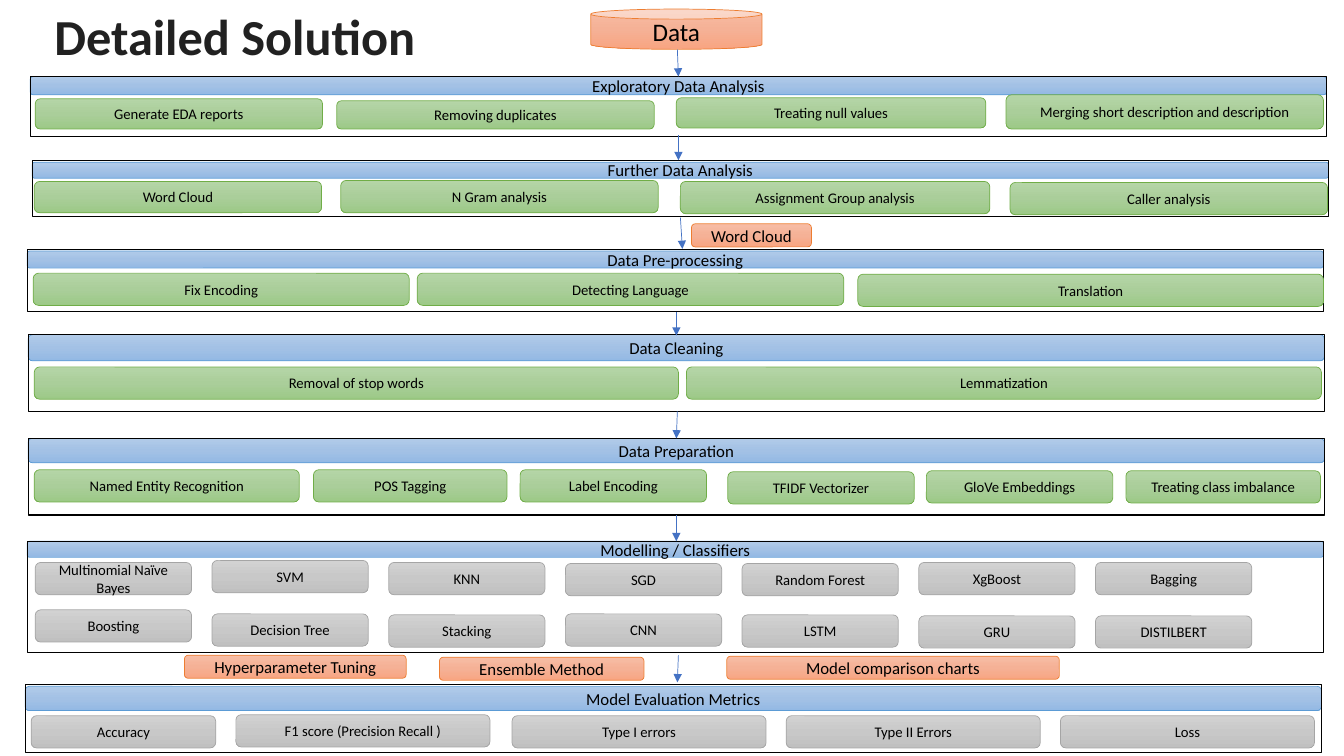
import copy

import pptx
import pptx.dml.color
import pptx.enum.shapes
import pptx.enum.text
import pptx.oxml
import pptx.oxml.ns
import pptx.util

# Grid: square cells, ten to the inch
CELL = pptx.util.Inches(0.1)
COLS, ROWS = 133.33, 75
BAND_W = 128.6
PILL_H = 3.2
TAG_H = 2.3
MODEL_LEFT, MODEL_PITCH, MODEL_W = 3.5, 17.53, 15.5

FONT = "Calibri"
COLORS = {"title": "212121", "text": "000000", "frame": "000000", "arrow": "4472C4"}
# Gradient from top to bottom, then outline
STYLES = {
    "header": ("B1CBE9", "A3C1E5", "93B9E4", "5B9BD5"),
    "step": ("B5D5A7", "AACE9A", "9CC987", "70AD47"),
    "model": ("D2D2D2", "C8C8C8", "C0C0C0", "A5A5A5"),
    "output": ("F7BDA5", "F5B196", "F8A582", "ED7D31"),
}

# Models: (label, top), seven to a row
MODELS = [
    [("Multinomial Naïve Bayes", 55.8), ("SVM", 55.6), ("KNN", 55.8), ("SGD", 55.9),
     ("Random Forest", 55.9), ("XgBoost", 55.8), ("Bagging", 55.8)],
    [("Boosting", 60.5), ("Decision Tree", 60.9), ("Stacking", 61), ("CNN", 60.9),
     ("LSTM", 61), ("GRU", 61.1), ("DISTILBERT", 61.1)],
]
MODEL_PILLS = [(label, MODEL_LEFT + i * MODEL_PITCH, top, MODEL_W)
               for row in MODELS for i, (label, top) in enumerate(row)]

# Stages: title, frame (left, top, height), header (top, height), style,
# pills (label, left, top, width and, if not the usual one, height)
STAGES = [
    ("Exploratory Data Analysis", (3, 7.6, 5.9), (7.6, 1.8), "step", [
        ("Generate EDA reports", 3.5, 9.8, 28.5, 3),
        ("Removing duplicates", 33.4, 10, 31.5, 2.8),
        ("Treating null values", 67.1, 9.7, 30.7, 3),
        ("Merging short description and description", 99.8, 9.4, 31.5, 3.4)]),
    ("Further Data Analysis", (3.2, 15.9, 5.6), (16.1, 1.6), "step", [
        ("Word Cloud", 3.4, 18, 28.5, 3.1),
        ("N Gram analysis", 33.8, 17.9, 31.5),
        ("Assignment Group analysis", 67.5, 18, 30.7),
        ("Caller analysis", 100.2, 18.1, 31.5)]),
    ("Data Pre-processing", (2.7, 24.8, 6.1), (24.9, 1.7), "step", [
        ("Fix Encoding", 3.3, 27.1, 37.3),
        ("Detecting Language", 41.4, 27.1, 42.3),
        ("Translation", 85.1, 27.2, 46.2)]),
    ("Data Cleaning", (2.8, 33.2, 7.6), (33.2, 2.6), "step", [
        ("Removal of stop words", 3.4, 36.4, 63.9),
        ("Lemmatization", 68.1, 36.4, 63)]),
    ("Data Preparation", (2.8, 43.5, 7.6), (43.5, 2.4), "step", [
        ("Named Entity Recognition", 3.4, 46.6, 26.3),
        ("POS Tagging", 31.1, 46.6, 19.2),
        ("Label Encoding", 51.6, 46.6, 18.5),
        ("TFIDF Vectorizer", 72.2, 46.8, 18.5),
        ("GloVe Embeddings", 91.9, 46.7, 18.5),
        ("Treating class imbalance", 111.7, 46.7, 19.3)]),
    ("Modelling / Classifiers", (2.7, 53.7, 11), (53.7, 1.6), "model", MODEL_PILLS),
    ("Model Evaluation Metrics", (2.5, 67.9, 6.8), (68.1, 2.4), "model", [
        ("Accuracy", 3.1, 71, 18.3),
        ("F1 score (Precision Recall )", 23.4, 70.9, 25.2),
        ("Type I errors", 50.8, 71, 25.2),
        ("Type II Errors", 78, 71, 25.2),
        ("Loss", 105.2, 71, 25.2)]),
]

# Outputs between the stages: label, left, top, width
TAGS = [
    ("Word Cloud", 68.6, 22.2, 11.9),
    ("Hyperparameter Tuning", 18.3, 65, 22),
    ("Ensemble Method", 43.6, 65.2, 20.3),
    ("Model comparison charts", 72.1, 65.1, 33),
]

# Arrows: x and y of the start, x and y of the end
ARROWS = [
    (67.2, 4.9, 67.3, 7.6), (67.3, 13.4, 67.3, 15.9), (67.5, 21.6, 67.7, 24.7),
    (67.1, 31, 67.1, 33.3), (67.2, 40.8, 67.1, 43.5), (67.1, 51.1, 67.1, 53.7),
    (67.3, 65, 67.2, 67.7),
]


def grid(*cells):
    return [round(c * CELL) for c in cells]


def rgb(value):
    return pptx.dml.color.RGBColor.from_string(value)


def write(s, text, size, color, align, bold=False):
    tf = s.text_frame
    tf.word_wrap = True
    tf.vertical_anchor = pptx.enum.text.MSO_ANCHOR.MIDDLE
    tf.text = text
    p = tf.paragraphs[0]
    p.alignment = align
    font = p.runs[0].font
    font.name, font.size, font.bold = FONT, pptx.util.Pt(size), bold
    font.color.rgb = rgb(color)
    return p


def paint(s, style):
    *stops, outline = STYLES[style]
    s.fill.gradient()
    s.fill.gradient_angle = 270
    first = s._element.spPr.find(".//" + pptx.oxml.ns.qn("a:gs"))
    first.addnext(copy.deepcopy(first))
    for i, (stop, color) in enumerate(zip(s.fill.gradient_stops, stops)):
        stop.color.rgb = rgb(color)
        stop.position = i / 2
    s.line.color.rgb = rgb(outline)
    s.line.width = pptx.util.Pt(0.5)


def add_box(slide, text, box, style, size, kind="ROUNDED_RECTANGLE"):
    shape_type = pptx.enum.shapes.MSO_SHAPE[kind]
    s = slide.shapes.add_shape(shape_type, *grid(*box))
    s.shadow.inherit = False
    paint(s, style)
    write(s, text, size, COLORS["text"], pptx.enum.text.PP_ALIGN.CENTER)


def add_frame(slide, left, top, height):
    s = slide.shapes.add_shape(pptx.enum.shapes.MSO_SHAPE.RECTANGLE,
                               *grid(left, top, BAND_W, height))
    s.shadow.inherit = False
    s.fill.background()
    s.line.color.rgb = rgb(COLORS["frame"])
    s.line.width = pptx.util.Pt(0.75)


def add_stage(slide, title, frame, header, style, pills):
    left = frame[0]
    top, height = header
    add_box(slide, title, (left, top, BAND_W, height), "header", 12)
    add_frame(slide, *frame)
    for label, x, y, width, *h in pills:
        add_box(slide, label, (x, y, width, h[0] if h else PILL_H), style, 10.5)


def add_arrow(slide, ends):
    s = slide.shapes.add_connector(pptx.enum.shapes.MSO_CONNECTOR.STRAIGHT, *grid(*ends))
    s.line.color.rgb = rgb(COLORS["arrow"])
    s.line.width = pptx.util.Pt(0.5)
    qn = pptx.oxml.ns.qn
    s.line._get_or_add_ln().makeelement(qn("a:tailEnd"), {})
    tail = pptx.oxml.parse_xml(
        f'<a:tailEnd {pptx.oxml.ns.nsdecls("a")} type="triangle"/>')
    s.line._get_or_add_ln().append(tail)
    s._element.spPr.append(s._element.spPr.makeelement(qn("a:effectLst"), {}))


def add_title(slide):
    s = slide.shapes.add_textbox(*grid(4.4, 0.7, 115, 6.4))
    p = write(s, "Detailed Solution", 36, COLORS["title"],
              pptx.enum.text.PP_ALIGN.LEFT, bold=True)
    p.line_spacing = 0.9


def main():
    prs = pptx.Presentation()
    prs.slide_width, prs.slide_height = grid(COLS, ROWS)
    slide = prs.slides.add_slide(prs.slide_layouts[6])

    # Title and data source
    add_title(slide)
    add_box(slide, "Data", (58.6, 0.9, 17, 4), "output", 18, "CAN")

    # Pipeline
    for stage in STAGES:
        add_stage(slide, *stage)
    for ends in ARROWS:
        add_arrow(slide, ends)
    for label, x, y, width in TAGS:
        add_box(slide, label, (x, y, width, TAG_H), "output", 12)

    prs.save("out.pptx")


if __name__ == "__main__":
    main()
